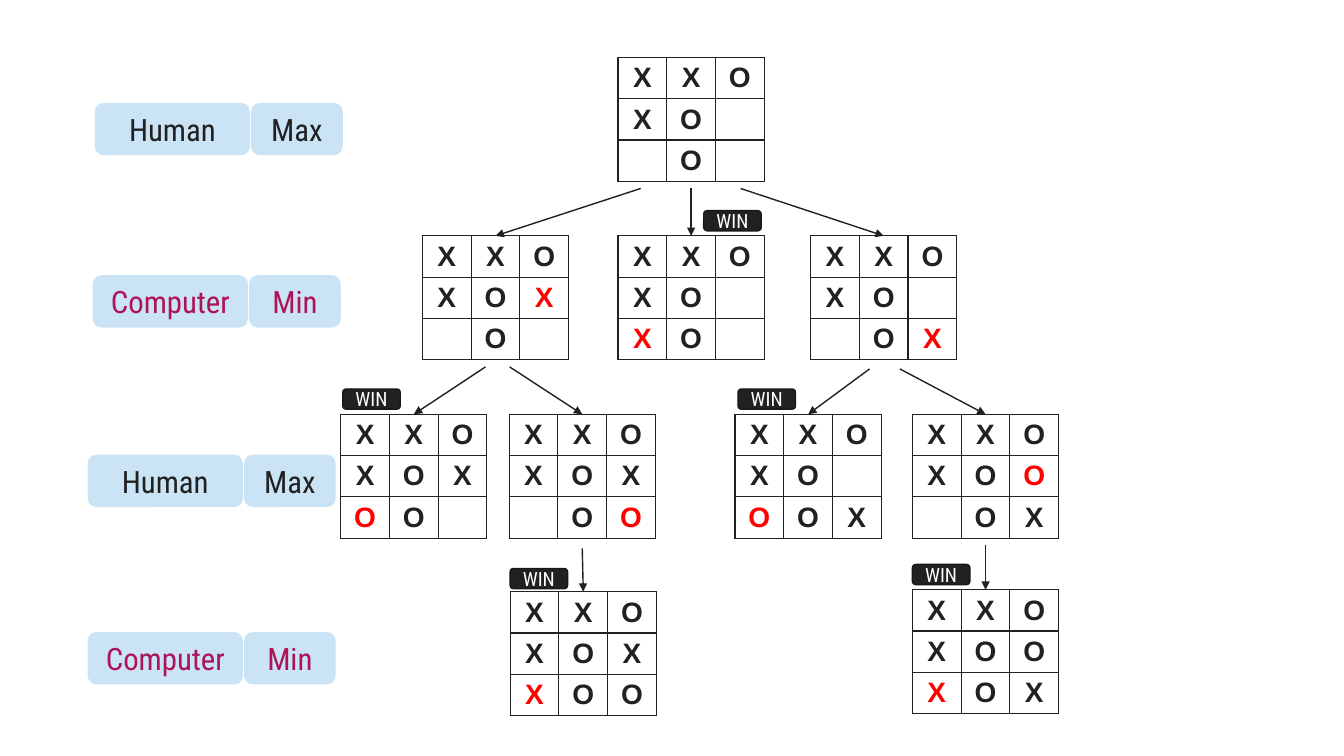
from dataclasses import dataclass

from lxml import etree
from pptx import Presentation
from pptx import util as u
from pptx.dml.color import RGBColor
from pptx.enum import shapes, text
from pptx.oxml import ns


@dataclass(frozen=True)
class Theme:
    ink: str = "212121"
    move: str = "FF0000"
    label: str = "CAE4F6"
    min: str = "AD1457"
    edge: str = "181818"
    white: str = "FFFFFF"
    mark_font: str = "Arial"
    font: str = "Roboto Condensed"
    mark_size: int = 20
    label_size: int = 22
    tag_size: int = 14
    line: int = 1


T = Theme()
SIDE = 1.45
ROW = 0.41


@dataclass(frozen=True)
class Node:
    """A board; a lowercase mark is the new move, a dot an empty cell."""
    left: float
    top: float
    marks: str
    start: tuple = ()  # arrow start, from the parent's top centre
    win: tuple = ()  # tag corner, from the board's corner
    kids: tuple = ()


TREE = Node(6.13, 0.57, "XXO XO. .O.", kids=(
    Node(4.19, 2.34, "XXO XOx .O.", (-0.5, 1.3), kids=(
        Node(3.38, 4.11, "XXO XOX oO.", (-0.1, 1.3), (0.02, -0.25)),
        Node(5.05, 4.11, "XXO XOX .Oo", (0.14, 1.3), kids=(
            Node(5.06, 5.87, "XXO XOX xOO", (0, 1.33), (0, -0.23)),)))),
    Node(6.13, 2.34, "XXO XO. xO.", (0, 1.3), (0.85, -0.25)),
    Node(8.04, 2.34, "XXO XO. .Ox", (0.49, 1.3), kids=(
        Node(7.29, 4.11, "XXO XO. oOX", (-0.14, 1.32), (0.03, -0.25)),
        Node(9.05, 4.11, "XXO XOo .OX", (0.16, 1.32), kids=(
            Node(9.05, 5.85, "XXO XOO xOX", (0, 1.3), (0, -0.25)),))))))

LEVELS = (
    (0.94, 1.02, "Human", "Max", T.ink),
    (0.92, 2.73, "Computer", "Min", T.min),
    (0.87, 4.51, "Human", "Max", T.ink),
    (0.87, 6.27, "Computer", "Min", T.min),
)


def color(code):
    return RGBColor.from_string(code)


def write(frame, words, size, face, tint, bold=False):
    frame.margin_left = frame.margin_right = 0
    frame.margin_top = frame.margin_bottom = 0
    para = frame.paragraphs[0]
    para.alignment = text.PP_ALIGN.CENTER
    run = para.add_run()
    run.text = words
    run.font.size = u.Pt(size)
    run.font.name = face
    run.font.bold = bold
    run.font.color.rgb = color(tint)


def add_box(slide, left, top, width, height, words, size, fill, tint, edge=None):
    box = slide.shapes.add_shape(
        shapes.MSO_SHAPE.ROUNDED_RECTANGLE,
        *map(u.Inches, (left, top, width, height)))
    box.shadow.inherit = False
    box.fill.solid()
    box.fill.fore_color.rgb = color(fill)
    if edge:
        box.line.color.rgb = color(edge)
        box.line.width = u.Pt(T.line)
    else:
        box.line.fill.background()
    box.text_frame.vertical_anchor = text.MSO_ANCHOR.MIDDLE
    write(box.text_frame, words, size, T.font, tint)


def add_level(slide, left, top, player, goal, tint):
    for start, width, words in ((0, 1.54, player), (1.55, 0.91, goal)):
        add_box(slide, left + start, top, width, 0.52, words,
                T.label_size, T.label, tint)


def add_rules(cell):
    """Draw the four borders of a cell."""
    props = cell._tc.get_or_add_tcPr()
    for place, side in enumerate(("lnL", "lnR", "lnT", "lnB")):
        line = etree.Element(ns.qn("a:" + side), w=str(u.Pt(T.line)))
        fill = etree.SubElement(line, ns.qn("a:solidFill"))
        etree.SubElement(fill, ns.qn("a:srgbClr"), val=T.ink)
        props.insert(place, line)


def add_board(slide, left, top, marks):
    grid = slide.shapes.add_table(
        3, 3, *map(u.Inches, (left, top, SIDE, 3 * ROW))).table
    grid.first_row = grid.horz_banding = False
    for row, line in zip(grid.rows, marks.split()):
        row.height = u.Inches(ROW)
        for cell, mark in zip(row.cells, line):
            cell.margin_top = cell.margin_bottom = 0
            cell.vertical_anchor = text.MSO_ANCHOR.MIDDLE
            cell.fill.background()
            add_rules(cell)
            if mark != ".":
                cell.margin_left = cell.margin_right = 0
                write(cell.text_frame, mark.upper(), T.mark_size, T.mark_font,
                      T.move if mark.islower() else T.ink, True)


def add_arrow(slide, *ends):
    arrow = slide.shapes.add_connector(
        shapes.MSO_CONNECTOR.STRAIGHT, *map(u.Inches, ends))
    arrow.line.color.rgb = color(T.ink)
    arrow.line.width = u.Pt(T.line)
    etree.SubElement(arrow.line._get_or_add_ln(), ns.qn("a:tailEnd"),
                     type="triangle")
    etree.SubElement(arrow._element.spPr, ns.qn("a:effectLst"))


def add_tree(slide, node):
    """Draw a board, its win tag and every board below it."""
    add_board(slide, node.left, node.top, node.marks)
    if node.win:
        add_box(slide, node.left + node.win[0], node.top + node.win[1],
                0.57, 0.2, "WIN", T.tag_size, T.ink, T.white, T.edge)
    half = SIDE / 2
    for kid in node.kids:
        add_tree(slide, kid)
        add_arrow(slide, node.left + half + kid.start[0],
                  node.top + kid.start[1], kid.left + half, kid.top)


def main():
    deck = Presentation()
    deck.slide_width = u.Inches(13.33)
    deck.slide_height = u.Inches(7.5)
    slide = deck.slides.add_slide(deck.slide_layouts[6])
    add_tree(slide, TREE)
    for level in LEVELS:
        add_level(slide, *level)
    deck.save("out.pptx")


if __name__ == "__main__":
    main()
